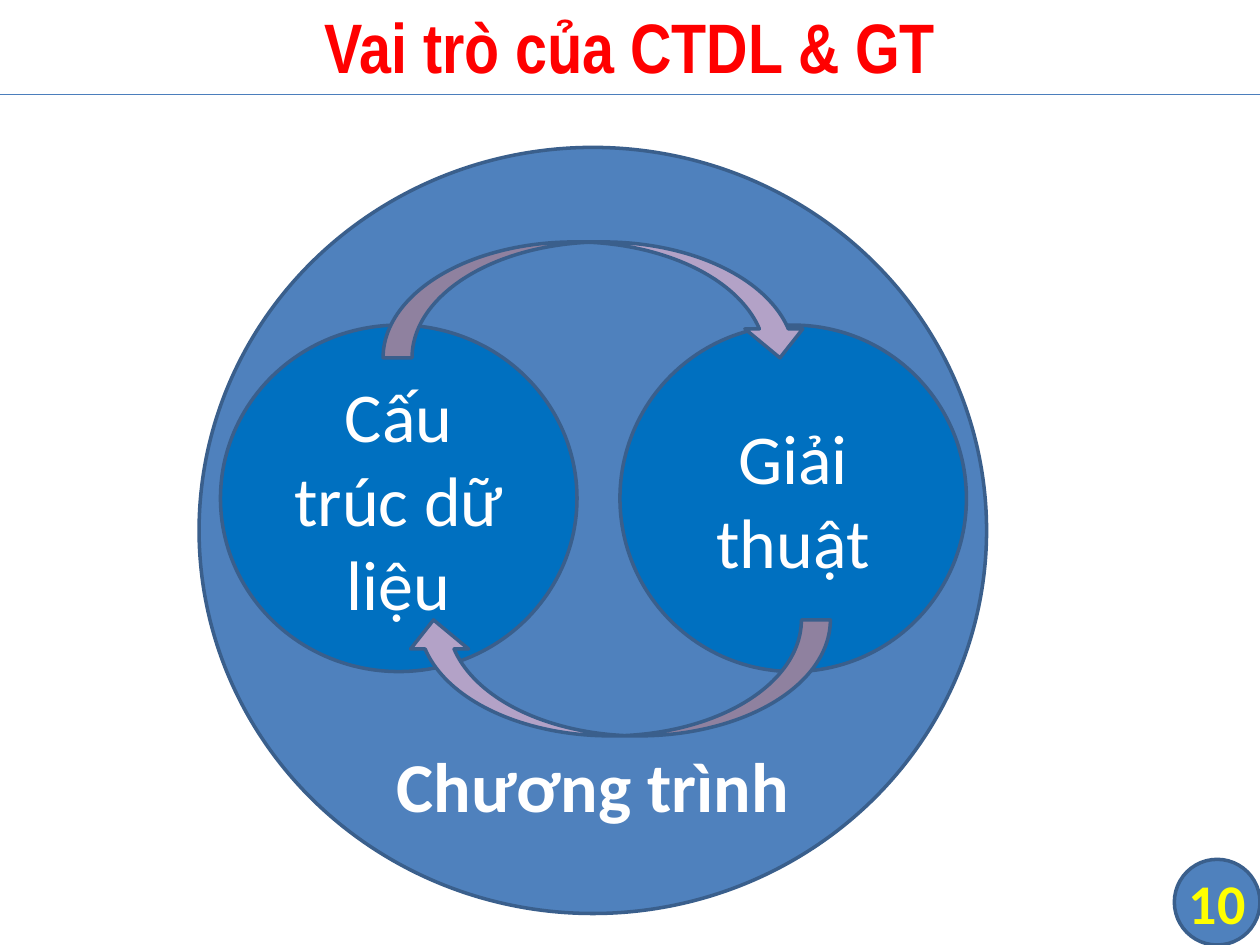
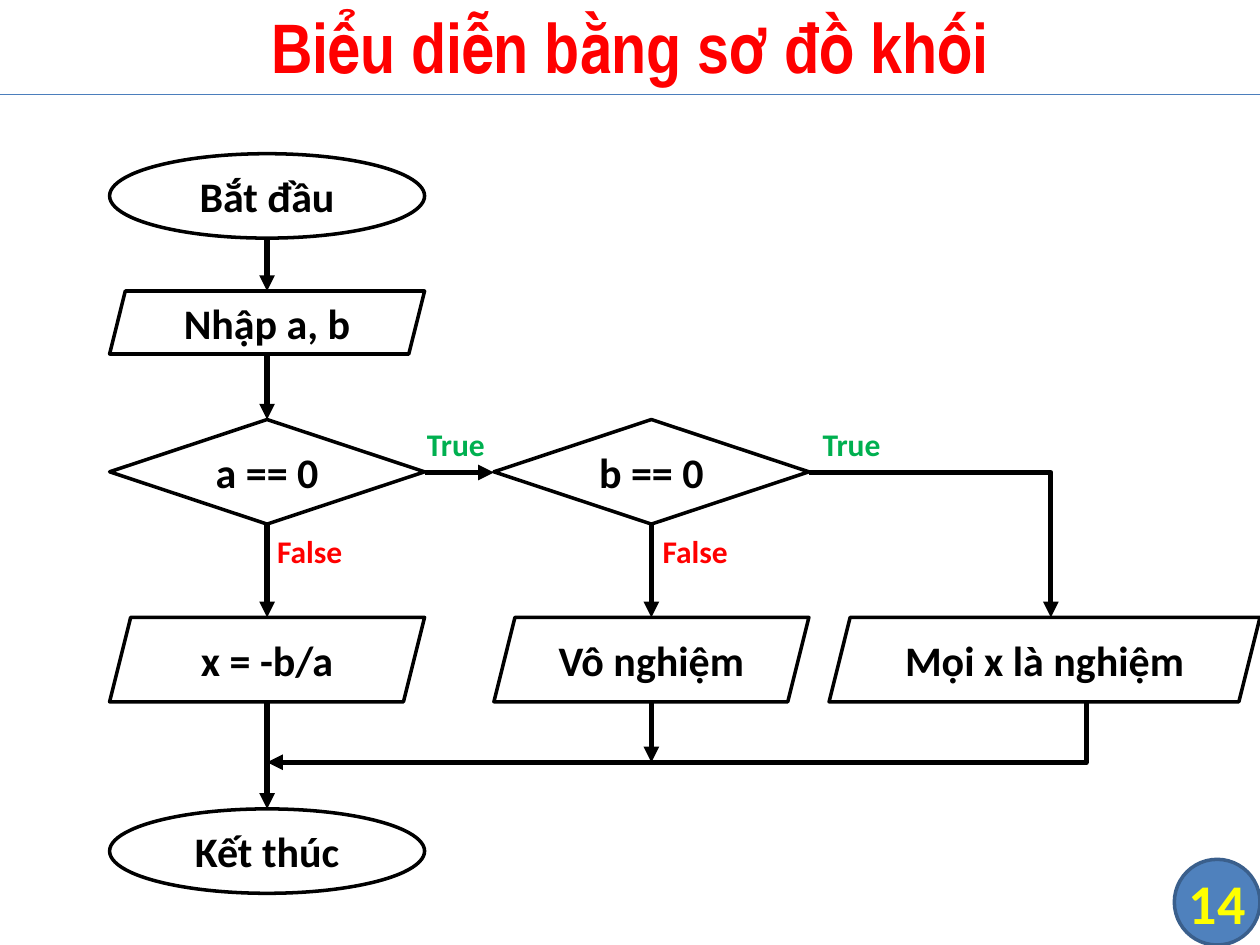
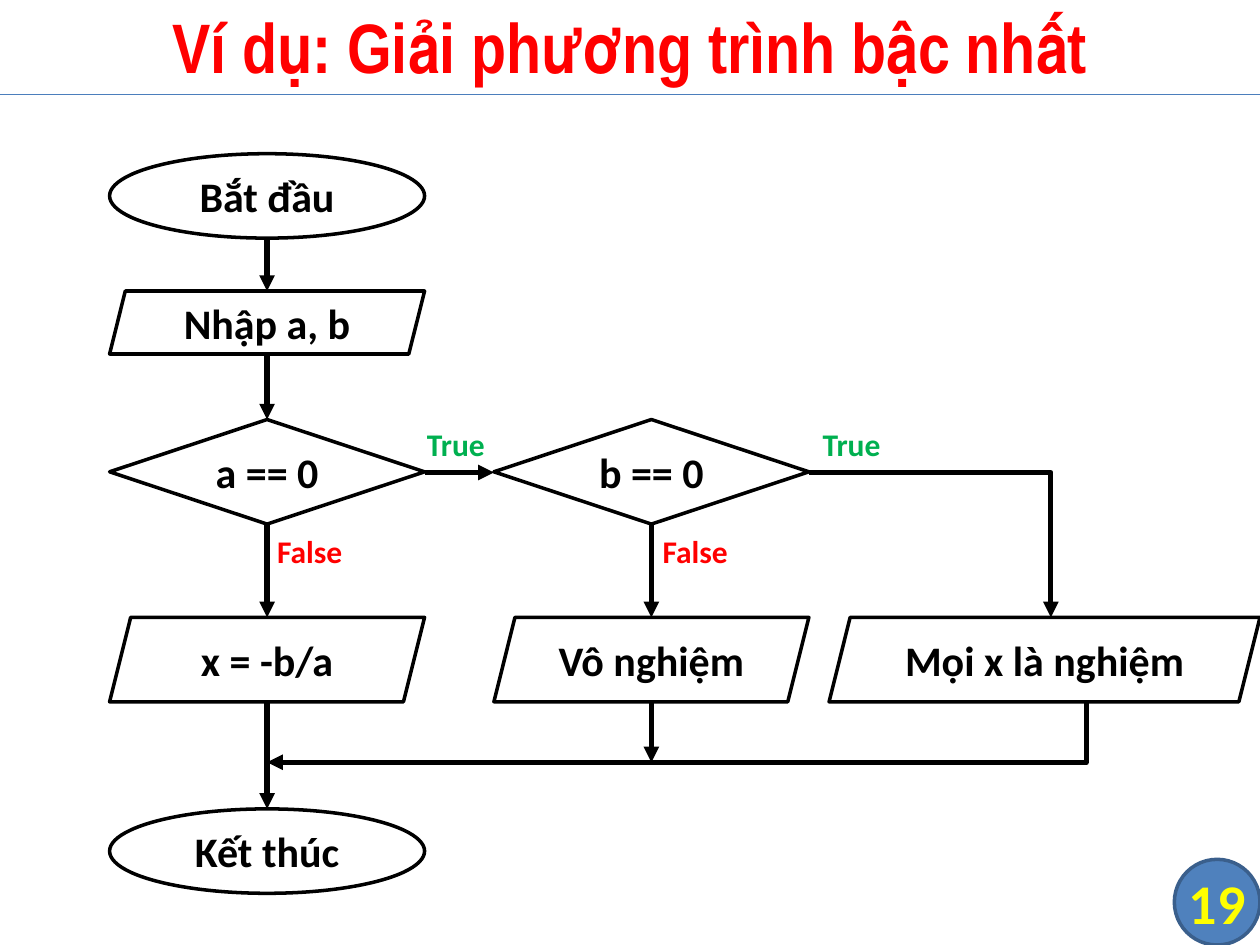
"""Build three slides on data structures, algorithms and a flowchart."""
from pptx import Presentation
from pptx.dml.color import RGBColor
from pptx.enum import shapes, text
from pptx.oxml import ns, xmlchemy
from pptx.util import Inches, Pt

RED = RGBColor(0xFF, 0x00, 0x00)
GREEN = RGBColor(0x00, 0xB0, 0x50)
BLACK = RGBColor(0x00, 0x00, 0x00)
WHITE = RGBColor(0xFF, 0xFF, 0xFF)
YELLOW = RGBColor(0xFF, 0xFF, 0x00)
BLUE = RGBColor(0x4F, 0x81, 0xBD)
DEEP_BLUE = RGBColor(0x00, 0x70, 0xC0)
EDGE_BLUE = RGBColor(0x3A, 0x5F, 0x8C)
RULE_BLUE = RGBColor(0x4B, 0x7E, 0xBC)
LILAC = RGBColor(0xB3, 0xA2, 0xC7)

KIND = shapes.MSO_SHAPE
CENTER, LEFT = text.PP_ALIGN.CENTER, text.PP_ALIGN.LEFT


def add_item(page, kind, at, label="", size=24, ink=BLACK, fill=WHITE, edge=BLACK,
             bold=True, font="Calibri", align=CENTER):
    """Add a shape, or a text box when kind is None, with one line of text."""
    place = [Inches(value) for value in at]
    if kind is None:
        item = page.shapes.add_textbox(*place)
    else:
        item = page.shapes.add_shape(kind, *place)
        item.shadow.inherit = False
        item.fill.solid()
        item.fill.fore_color.rgb = fill
        item.line.color.rgb = edge
        item.line.width = Pt(2)
    if label:
        frame = item.text_frame
        frame.word_wrap = True
        frame.vertical_anchor = text.MSO_ANCHOR.MIDDLE
        para = frame.paragraphs[0]
        para.text = label
        para.alignment = align
        para.font.name = font
        para.font.size = Pt(size)
        para.font.bold = bold
        para.font.color.rgb = ink
    return item


def add_link(page, start, end, color=BLACK, width=3, arrow=True, bent=False, turn=0):
    """Add a straight or one-corner connector, turned by whole degrees."""
    link = page.shapes.add_connector(
        shapes.MSO_CONNECTOR.STRAIGHT, *[Inches(value) for value in (*start, *end)])
    link.line.color.rgb = color
    link.line.width = Pt(width)
    props = link.element.spPr
    if bent:
        props.find(ns.qn("a:prstGeom")).set("prst", "bentConnector2")
    if turn:
        props.find(ns.qn("a:xfrm")).set("rot", str(turn * 60000))
    if arrow:
        tip = xmlchemy.OxmlElement("a:tailEnd")
        tip.set("type", "triangle")
        props.find(ns.qn("a:ln")).append(tip)
    props.append(xmlchemy.OxmlElement("a:effectLst"))


deck = Presentation()
deck.slide_width = Inches(10)
deck.slide_height = Inches(7.5)

pages = []
for title, number in [
    ("Vai trò của CTDL & GT", "10"),
    ("Biểu diễn bằng sơ đồ khối", "14"),
    ("Ví dụ: Giải phương trình bậc nhất", "19"),
]:
    page = deck.slides.add_slide(deck.slide_layouts[6])
    add_link(page, (0, 0.75), (10, 0.75), RULE_BLUE, 0.75, arrow=False)
    add_item(page, None, (0, -0.03, 10, 0.78), title, 40, RED, font="Arial Narrow")
    badge = add_item(page, KIND.FLOWCHART_CONNECTOR, (9.32, 6.82, 0.68, 0.68),
                     number, 32, YELLOW, BLUE, EDGE_BLUE)
    frame = badge.text_frame
    frame.word_wrap = False
    frame.margin_left = frame.margin_right = frame.margin_top = frame.margin_bottom = 0
    pages.append(page)

role_page, *flow_pages = pages

add_item(role_page, KIND.OVAL, (1.58, 1.17, 6.25, 6.08), fill=BLUE, edge=EDGE_BLUE)
add_item(role_page, None, (1.58, 5.84, 6.25, 0.78), "Chương trình", 40, WHITE)
for left, width, label in [(1.75, 2.83, "Cấu trúc dữ liệu"), (4.92, 2.75, "Giải thuật")]:
    add_item(role_page, KIND.OVAL, (left, 2.58, width, 2.75), label, 40, WHITE,
             DEEP_BLUE, EDGE_BLUE, bold=False)
for left, top, turn in [(3.04, 1.92, 0), (3.21, 4.92, 180)]:
    arrow = add_item(role_page, KIND.CURVED_DOWN_ARROW, (left, top, 3.38, 0.92),
                     fill=LILAC, edge=EDGE_BLUE)
    arrow.rotation = turn

FIRST, SECOND, THIRD = 0.87, 3.92, 6.58
STEP_WIDTH = 2.5
FIRST_MID, SECOND_MID = FIRST + STEP_WIDTH / 2, SECOND + STEP_WIDTH / 2
steps = [
    (KIND.OVAL, FIRST, 1.22, STEP_WIDTH, 0.67, "Bắt đầu"),
    (KIND.PARALLELOGRAM, FIRST, 2.31, STEP_WIDTH, 0.5, "Nhập a, b"),
    (KIND.DIAMOND, FIRST, 3.33, STEP_WIDTH, 0.83, "a == 0"),
    (KIND.PARALLELOGRAM, FIRST, 4.9, STEP_WIDTH, 0.67, "x = -b/a"),
    (KIND.OVAL, FIRST, 6.42, STEP_WIDTH, 0.67, "Kết thúc"),
    (KIND.DIAMOND, SECOND, 3.33, STEP_WIDTH, 0.83, "b == 0"),
    (KIND.PARALLELOGRAM, SECOND, 4.9, STEP_WIDTH, 0.67, "Vô nghiệm"),
    (KIND.PARALLELOGRAM, THIRD, 4.9, 3.42, 0.67, "Mọi x là nghiệm"),
]
drops = [
    (FIRST_MID, 1.89, 2.31),
    (FIRST_MID, 2.81, 3.33),
    (FIRST_MID, 4.17, 4.9),
    (FIRST_MID, 5.57, 6.42),
    (SECOND_MID, 4.17, 4.9),
    (SECOND_MID, 5.57, 6.05),
]
answers = [
    (3.29, 3.32, "True", GREEN),
    (6.43, 3.32, "True", GREEN),
    (2.1, 4.17, "False", RED),
    (5.16, 4.17, "False", RED),
]
for page in flow_pages:
    for kind, left, top, width, height, label in steps:
        add_item(page, kind, (left, top, width, height), label)
    for middle, top, bottom in drops:
        add_link(page, (middle, top), (middle, bottom))
    add_link(page, (FIRST + STEP_WIDTH, 3.75), (SECOND, 3.75))
    add_link(page, (SECOND + STEP_WIDTH, 3.75), (8.34, 4.9), bent=True)
    add_link(page, (5.13, 2.56), (5.61, 9.06), bent=True, turn=90)
    for left, top, label, ink in answers:
        add_item(page, None, (left, top, 0.85, 0.4), label, 18, ink, align=LEFT)

deck.save("out.pptx")
